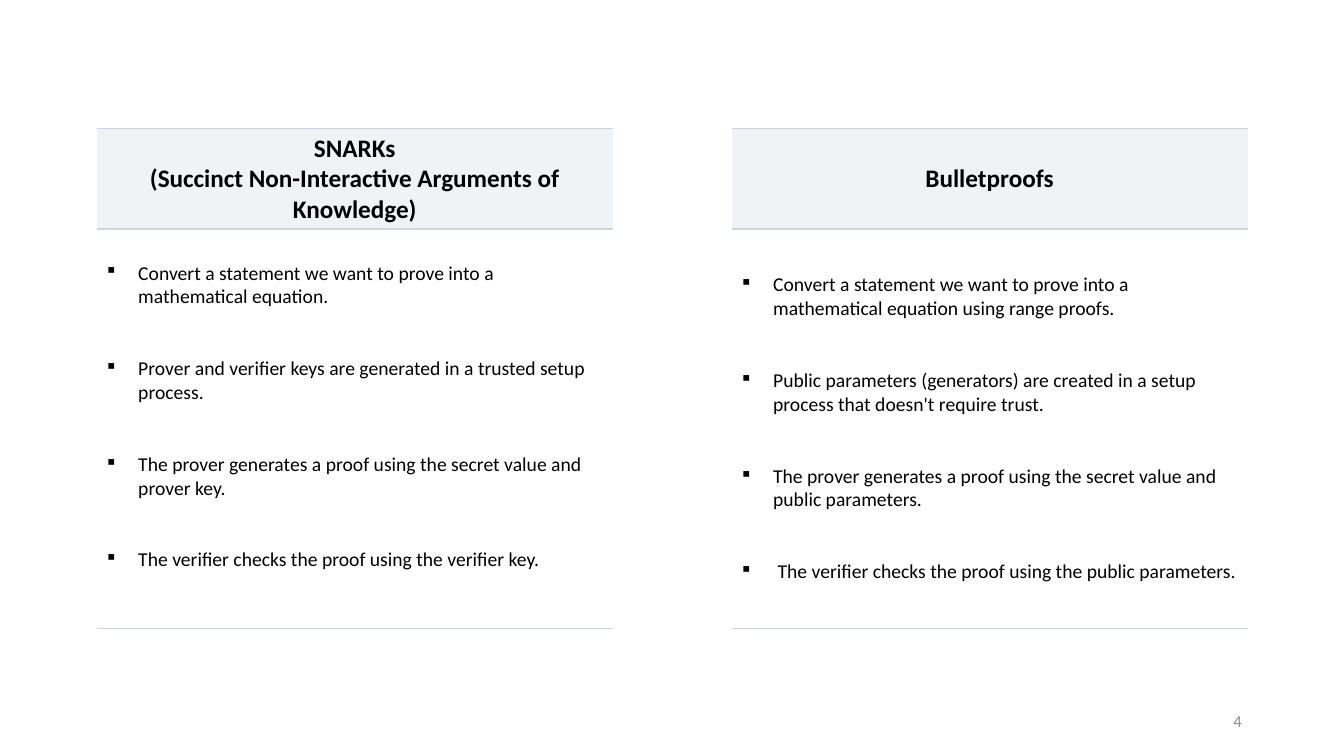
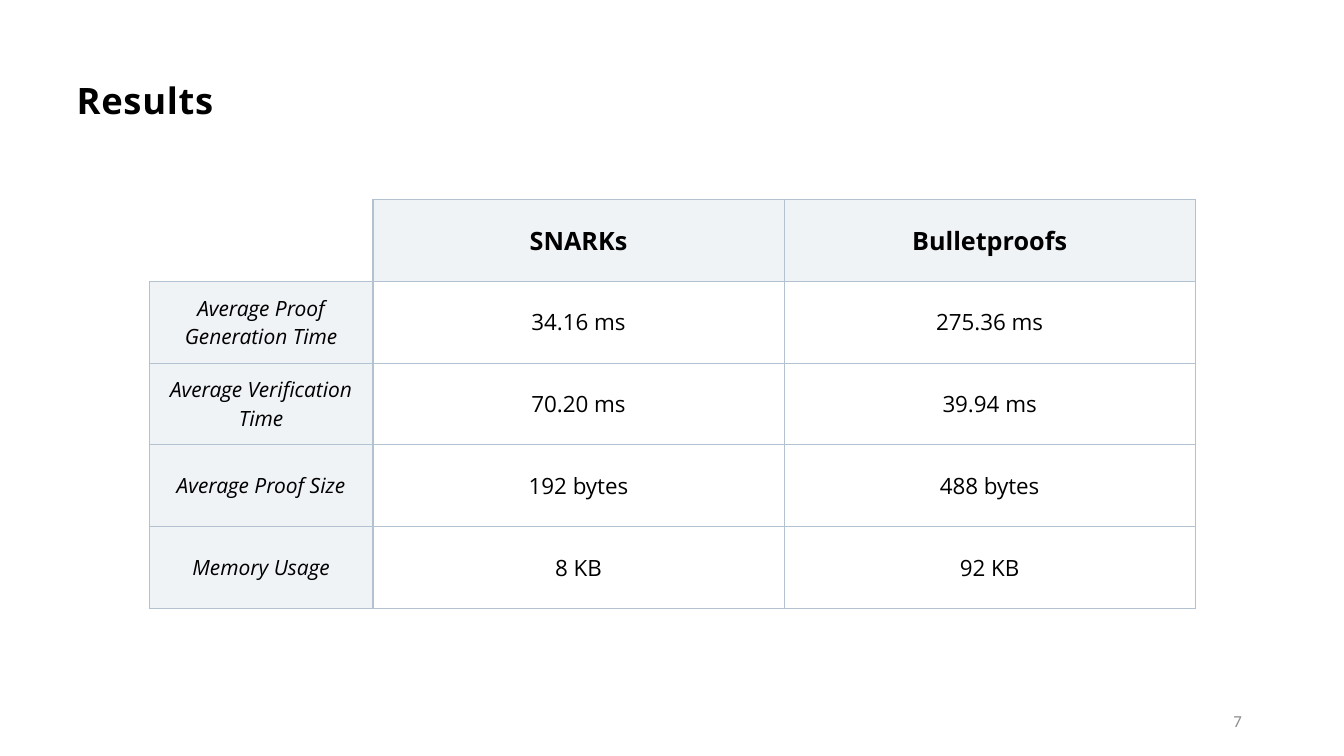
from dataclasses import dataclass

from lxml import etree
from pptx import Presentation
from pptx.dml.color import RGBColor
from pptx.enum.text import MSO_ANCHOR, PP_ALIGN
from pptx.oxml.ns import qn
from pptx.util import Cm, Pt

LEFT, CENTER, RIGHT = PP_ALIGN.LEFT, PP_ALIGN.CENTER, PP_ALIGN.RIGHT
TOP, MIDDLE = MSO_ANCHOR.TOP, MSO_ANCHOR.MIDDLE

COLORS = {
    "text": "000000",
    "number": "8C8C8C",
    "band": "F0F3F6",
    "white": "FFFFFF",
    "rule": "CCD6E0",
    "grid": "B3C2D0",
}


@dataclass(frozen=True)
class TextStyle:
    font: str
    size: float
    bold: bool = False
    italic: bool = False
    color: str = "text"
    align: PP_ALIGN = CENTER
    spacing: float = 0


@dataclass(frozen=True)
class Box:
    left: float
    top: float
    width: float
    height: float


@dataclass(frozen=True)
class Scheme:
    heading: str
    steps: tuple[str, ...]
    bottom_margin: float


TITLE = TextStyle("Open Sans", 26, bold=True, align=LEFT, spacing=0.5)
NUMBER = TextStyle("Calibri", 12, color="number", align=RIGHT)
SCHEME_HEAD = TextStyle("Calibri", 18, bold=True)
STEP = TextStyle("Calibri", 14, align=LEFT)
RESULT_HEAD = TextStyle("Open Sans", 18, bold=True)
METRIC = TextStyle("Open Sans", 15, italic=True)
VALUE = TextStyle("Open Sans", 16)

TITLE_BOX = Box(1.68, 1.96, 30.28, 1.75)
NUMBER_BOX = Box(23.93, 17.65, 7.62, 1.02)
STEP_INDENT = 0.79
STEP_GAP = 34.2

SCHEMES = (
    Scheme(
        "SNARKs\n(Succinct Non-Interactive Arguments of Knowledge)",
        (
            "Convert a statement we want to prove into a mathematical equation.",
            "Prover and verifier keys are generated in a trusted setup process.",
            "The prover generates a proof using the secret value and prover key.",
            "The verifier checks the proof using the verifier key.",
        ),
        0.73,
    ),
    Scheme(
        "Bulletproofs",
        (
            "Convert a statement we want to prove into a mathematical equation using range proofs.",
            "Public parameters (generators) are created in a setup process that doesn't require trust.",
            "The prover generates a proof using the secret value and public parameters.",
            " The verifier checks the proof using the public parameters.",
        ),
        0.13,
    ),
)

RESULTS = (
    ("", "SNARKs", "Bulletproofs"),
    ("Average Proof\nGeneration Time", "34.16 ms", "275.36 ms"),
    ("Average Verification\nTime", "70.20 ms", "39.94 ms"),
    ("Average Proof Size", "192 bytes", "488 bytes"),
    ("Memory Usage", "8 KB", "92 KB"),
)


def rgb(name: str) -> RGBColor:
    return RGBColor.from_string(COLORS[name])


def write(tf, text: str, style: TextStyle) -> None:
    tf.text = text
    for p in tf.paragraphs:
        p.alignment = style.align
        for r in p.runs:
            r.font.name = style.font
            r.font.size = Pt(style.size)
            r.font.bold = style.bold
            r.font.italic = style.italic
            r.font.color.rgb = rgb(style.color)
            if style.spacing:
                r._r.get_or_add_rPr().set("spc", str(int(style.spacing * 100)))


def add_text(s, box: Box, text: str, style: TextStyle, anchor: MSO_ANCHOR):
    sp = s.shapes.add_textbox(Cm(box.left), Cm(box.top), Cm(box.width), Cm(box.height))
    tf = sp.text_frame
    tf.word_wrap = True
    tf.vertical_anchor = anchor
    write(tf, text, style)
    return tf


def add_number(s, number: int) -> None:
    add_text(s, NUMBER_BOX, str(number), NUMBER, MIDDLE)


def add_title(s, text: str) -> None:
    tf = add_text(s, TITLE_BOX, text, TITLE, TOP)
    tf.paragraphs[0].line_spacing = 0.9


def add_table(s, left: float, top: float, widths: list[float], heights: list[float]):
    table = s.shapes.add_table(
        len(heights), len(widths), Cm(left), Cm(top), Cm(sum(widths)), Cm(sum(heights))
    ).table
    table.first_row = table.horz_banding = False
    for column, width in zip(table.columns, widths):
        column.width = Cm(width)
    for row, height in zip(table.rows, heights):
        row.height = Cm(height)
    return table


def style_cell(cell, fill: str, edges: str, line: str) -> None:
    tc_pr = cell._tc.get_or_add_tcPr()
    for side in "LRTB":
        ln = etree.SubElement(tc_pr, qn(f"a:ln{side}"), w=str(Pt(1)))
        if side in edges:
            solid = etree.SubElement(ln, qn("a:solidFill"))
            etree.SubElement(solid, qn("a:srgbClr"), val=COLORS[line])
        else:
            etree.SubElement(ln, qn("a:noFill"))
    if fill:
        cell.fill.solid()
        cell.fill.fore_color.rgb = rgb(fill)
    else:
        cell.fill.background()
    cell.vertical_anchor = MIDDLE


def add_bullets(tf) -> None:
    for i, p in enumerate(tf.paragraphs):
        if i:
            p.space_before = Pt(STEP_GAP)
        p_pr = p._p.get_or_add_pPr()
        p_pr.set("marL", str(Cm(STEP_INDENT)))
        p_pr.set("indent", str(-Cm(STEP_INDENT)))
        etree.SubElement(p_pr, qn("a:buFont"), typeface="Wingdings")
        etree.SubElement(p_pr, qn("a:buChar"), char="§")


def build_comparison(s) -> None:
    add_number(s, 4)
    table = add_table(s, 2.44, 3.23, [13, 3, 13], [2.44, 10.06])
    for row in range(2):
        style_cell(table.cell(row, 1), "", "", "rule")
    for column, scheme in zip((0, 2), SCHEMES):
        head, body = table.cell(0, column), table.cell(1, column)
        style_cell(head, "band", "TB", "rule")
        write(head.text_frame, scheme.heading, SCHEME_HEAD)
        style_cell(body, "white", "TB", "rule")
        write(body.text_frame, "\n".join(scheme.steps), STEP)
        add_bullets(body.text_frame)
        body.margin_bottom = Cm(scheme.bottom_margin)


def build_results(s) -> None:
    add_title(s, "Results")
    add_number(s, 7)
    table = add_table(s, 3.76, 5.03, [5.64, 10.36, 10.36], [2.06] * len(RESULTS))
    for i, row in enumerate(RESULTS):
        for j, text in enumerate(row):
            cell = table.cell(i, j)
            if i == j == 0:
                style_cell(cell, "", "RB", "grid")
                continue
            style_cell(cell, "white" if i and j else "band", "LRTB", "grid")
            style = RESULT_HEAD if i == 0 else METRIC if j == 0 else VALUE
            write(cell.text_frame, text, style)


def main() -> None:
    prs = Presentation()
    prs.slide_width, prs.slide_height = Cm(33.87), Cm(19.05)
    blank = prs.slide_layouts[6]
    for build in (build_comparison, build_results):
        build(prs.slides.add_slide(blank))
    prs.save("out.pptx")


if __name__ == "__main__":
    main()
